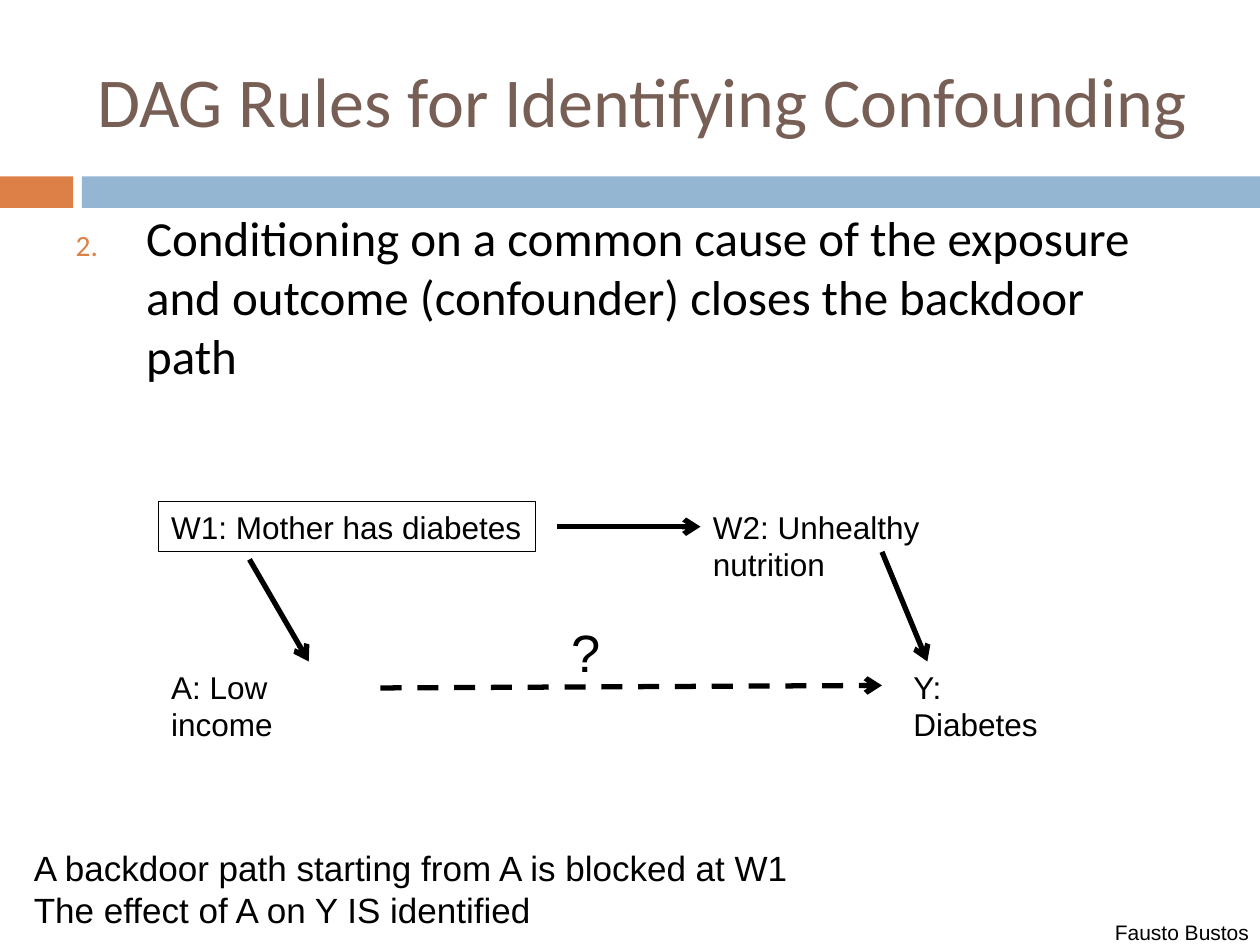
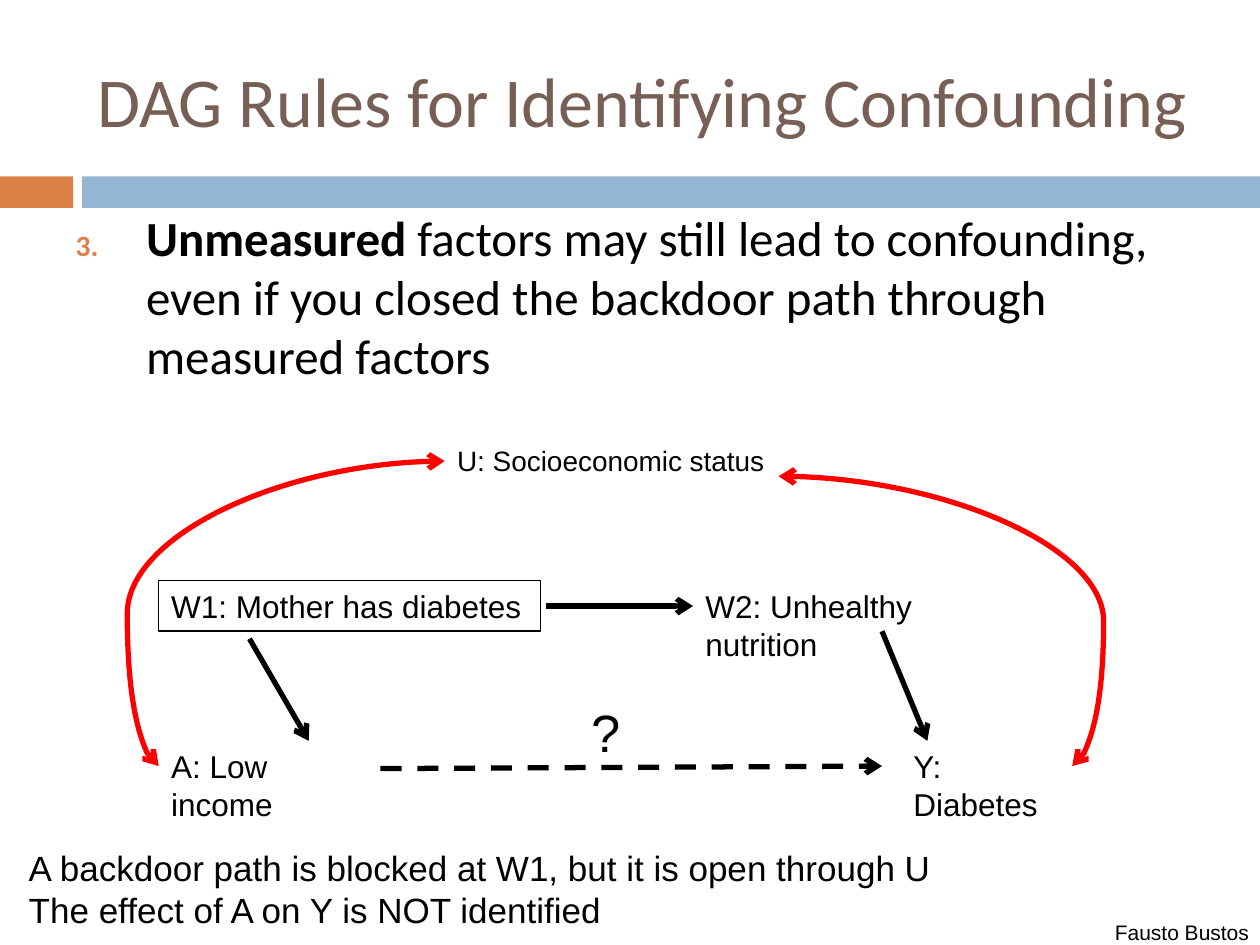
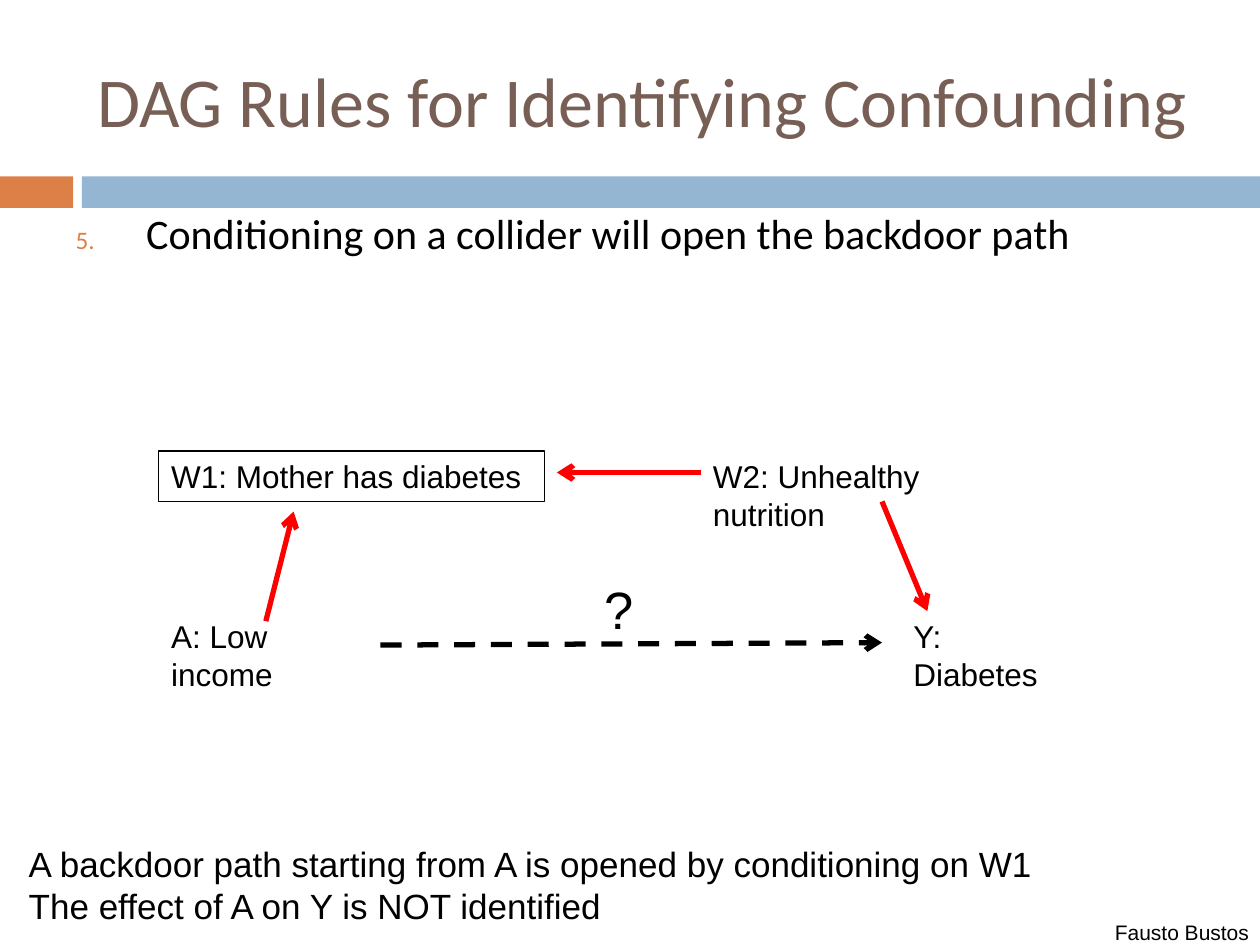
from lxml import etree
from pptx import Presentation
from pptx.dml.color import RGBColor
from pptx.enum.dml import MSO_LINE
from pptx.enum.shapes import MSO_CONNECTOR, MSO_SHAPE
from pptx.enum.text import MSO_ANCHOR, MSO_AUTO_SIZE, PP_ALIGN
from pptx.oxml.ns import qn
from pptx.util import Inches, Pt

STRAIGHT, CURVE = MSO_CONNECTOR.STRAIGHT, MSO_CONNECTOR.CURVE
RECTANGLE = MSO_SHAPE.RECTANGLE
DASH = MSO_LINE.DASH
LEFT, MIDDLE, NO_FIT = PP_ALIGN.LEFT, MSO_ANCHOR.MIDDLE, MSO_AUTO_SIZE.NONE
COLORS = {
    "title": "775F55",
    "orange": "DD8047",
    "blue": "94B6D2",
    "black": "000000",
    "red": "FF0000",
}
TITLE = "DAG Rules for Identifying Confounding"
AUTHOR = "Fausto Bustos"
RULES = [
    {
        "number": 2, "size": 28, "bold": "",
        "rule": "Conditioning on a common cause of the exposure and outcome (confounder) closes the backdoor path",
        "top": 3.98, "w1_width": 2.99, "w2_left": 5.56, "effect_y": 5.46, "question_left": 4.44,
        "conclusion": "A backdoor path starting from A is blocked at W1\nThe effect of A on Y IS identified",
        "conclusion_box": (0.17, 6.67, 7.5, 0.77),
        "w1_w2_start": 4.42, "collider": False, "unmeasured": False,
    },
    {
        "number": 3, "size": 28, "bold": "Unmeasured ",
        "rule": "factors may still lead to confounding, even if you closed the backdoor path through measured factors",
        "top": 4.61, "w1_width": 3.03, "w2_left": 5.5, "effect_y": 6.1, "question_left": 4.6,
        "conclusion": "A backdoor path is blocked at W1, but it is open through U\nThe effect of A on Y is NOT identified",
        "conclusion_box": (0.13, 6.67, 10, 0.77),
        "w1_w2_start": 4.33, "collider": False, "unmeasured": True,
    },
    {
        "number": 5, "size": 24, "bold": "",
        "rule": "Conditioning on a collider will open the backdoor path",
        "top": 3.58, "w1_width": 3.06, "w2_left": 5.56, "effect_y": 5.12, "question_left": 4.7,
        "conclusion": "A backdoor path starting from A is opened by conditioning on W1\nThe effect of A on Y is NOT identified",
        "conclusion_box": (0.13, 6.64, 9.26, 0.77),
        "w1_w2_start": 4.42, "collider": True, "unmeasured": False,
    },
]


def add_label(slide, text, box, size, right_inset=0.1, wrap=True):
    label = slide.shapes.add_textbox(*map(Inches, box))
    frame = label.text_frame
    frame.word_wrap = wrap
    frame.margin_right = Inches(right_inset)
    frame.text = text
    for paragraph in frame.paragraphs:
        for run in paragraph.runs:
            run.font.size = Pt(size)
            run.font.name = "Arial"
            run.font.color.rgb = RGBColor.from_string(COLORS["black"])
    return label


def add_arrow(slide, start, end, color="black", kind=STRAIGHT, both_ends=False):
    arrow = slide.shapes.add_connector(kind, *map(Inches, (*start, *end)))
    arrow.line.width = Pt(3)
    arrow.line.color.rgb = RGBColor.from_string(COLORS[color])
    line = arrow.line._ln
    for tag in ("a:headEnd", "a:tailEnd") if both_ends else ("a:tailEnd",):
        etree.SubElement(line, qn(tag), type="arrow")
    etree.SubElement(arrow._element.spPr, qn("a:effectLst"))
    return arrow


prs = Presentation()
prs.slide_width, prs.slide_height = Inches(10), Inches(7.5)
layout = prs.slide_layouts[1]
slides = [prs.slides.add_slide(layout) for _ in RULES]

for placeholder, box in zip(layout.placeholders, [(0.67, 0.25, 8.92, 1.08), (0.5, 1.6, 9, 5.64)]):
    placeholder.left, placeholder.top, placeholder.width, placeholder.height = map(Inches, box)

for left, width, color in [(0, 0.58, "orange"), (0.65, 9.35, "blue")]:
    band = slides[0].shapes.add_shape(RECTANGLE, *map(Inches, (left, 1.4, width, 0.25)))
    band.shadow.inherit = False
    band.fill.solid()
    band.fill.fore_color.rgb = RGBColor.from_string(COLORS[color])
    band.line.fill.background()
    layout.shapes._spTree.insert(2, band._element)

for slide, content in zip(slides, RULES):
    title, body = slide.placeholders
    title.text_frame.text = TITLE
    title.text_frame.vertical_anchor = MIDDLE
    title.text_frame.auto_size = NO_FIT
    heading = title.text_frame.paragraphs[0]
    heading.alignment = LEFT
    heading.runs[0].font.size = Pt(40)
    heading.runs[0].font.name = "Calibri"
    heading.runs[0].font.color.rgb = RGBColor.from_string(COLORS["title"])

    body.text_frame.auto_size = NO_FIT
    rule = body.text_frame.paragraphs[0]
    rule.space_before = Pt(7)
    for text, bold in [(content["bold"], True), (content["rule"], False)]:
        if text:
            run = rule.add_run()
            run.text = text
            run.font.bold = bold
            run.font.size = Pt(content["size"])
            run.font.name = "Calibri"
            run.font.color.rgb = RGBColor.from_string(COLORS["black"])
    properties = rule._p.get_or_add_pPr()
    properties.set("marL", str(Inches(0.56)))
    properties.set("indent", str(-Inches(0.56)))
    number_color = etree.SubElement(properties, qn("a:buClr"))
    etree.SubElement(number_color, qn("a:srgbClr"), val=COLORS["orange"])
    etree.SubElement(properties, qn("a:buSzPct"), val="60000")
    etree.SubElement(properties, qn("a:buFontTx"))
    etree.SubElement(properties, qn("a:buAutoNum"), type="arabicPeriod", startAt=str(content["number"]))

    top = content["top"]
    bottom = top + 1.27
    path_color = "red" if content["collider"] else "black"
    add_label(slide, "A: Low income", (1.26, bottom, 1.71, 0.4), 18, 0.4)
    add_label(slide, "Y: Diabetes", (7.15, bottom, 1.35, 0.4), 18)
    mother = add_label(slide, "W1: Mother has diabetes", (1.26, top, content["w1_width"], 0.4), 18, 0.05)
    mother.line.color.rgb = RGBColor.from_string(COLORS["black"])
    mother.line.width = Pt(0.75)
    nutrition = add_label(slide, "W2: Unhealthy nutrition", (content["w2_left"], top, 2.7, 0.4), 18, 0.4)

    add_arrow(slide, (7, top + 0.4), (7.36, bottom), path_color)
    if content["collider"]:
        add_arrow(slide, (2.11, top + 1.35), (2.33, top + 0.48), path_color)
        add_arrow(slide, (content["w2_left"], top + 0.17), (content["w1_w2_start"], top + 0.17), path_color)
    else:
        add_arrow(slide, (1.98, top + 0.46), (2.45, bottom))
        mother_to_nutrition = add_arrow(
            slide, (content["w1_w2_start"], top + 0.2), (content["w2_left"], top + 0.2))
        mother_to_nutrition.end_connect(nutrition, 1)

    effect_y = content["effect_y"]
    effect = add_arrow(slide, (3.02, effect_y), (7, effect_y - 0.02))
    effect.line.dash_style = DASH
    add_label(slide, "?", (content["question_left"], effect_y - 0.59, 0.4, 0.61), 30)

    if content["unmeasured"]:
        add_label(slide, "U: Socioeconomic status", (3.53, 3.47, 2.8, 0.37), 16, 0.05)
        for start, end, bend in [((1.26, 6.08), (3.53, 3.66), -11000), ((6.18, 3.78), (8.51, 6.08), 110700)]:
            confounding = add_arrow(slide, start, end, "red", CURVE, both_ends=True)
            adjustments = confounding._element.spPr.find(qn("a:prstGeom")).find(qn("a:avLst"))
            etree.SubElement(adjustments, qn("a:gd"), name="adj1", fmla=f"val {bend}")

    add_label(slide, content["conclusion"], content["conclusion_box"], 20)
    add_label(slide, AUTHOR, (8.75, 7.25, 1.28, 0.3), 12, wrap=False)

prs.save("out.pptx")
